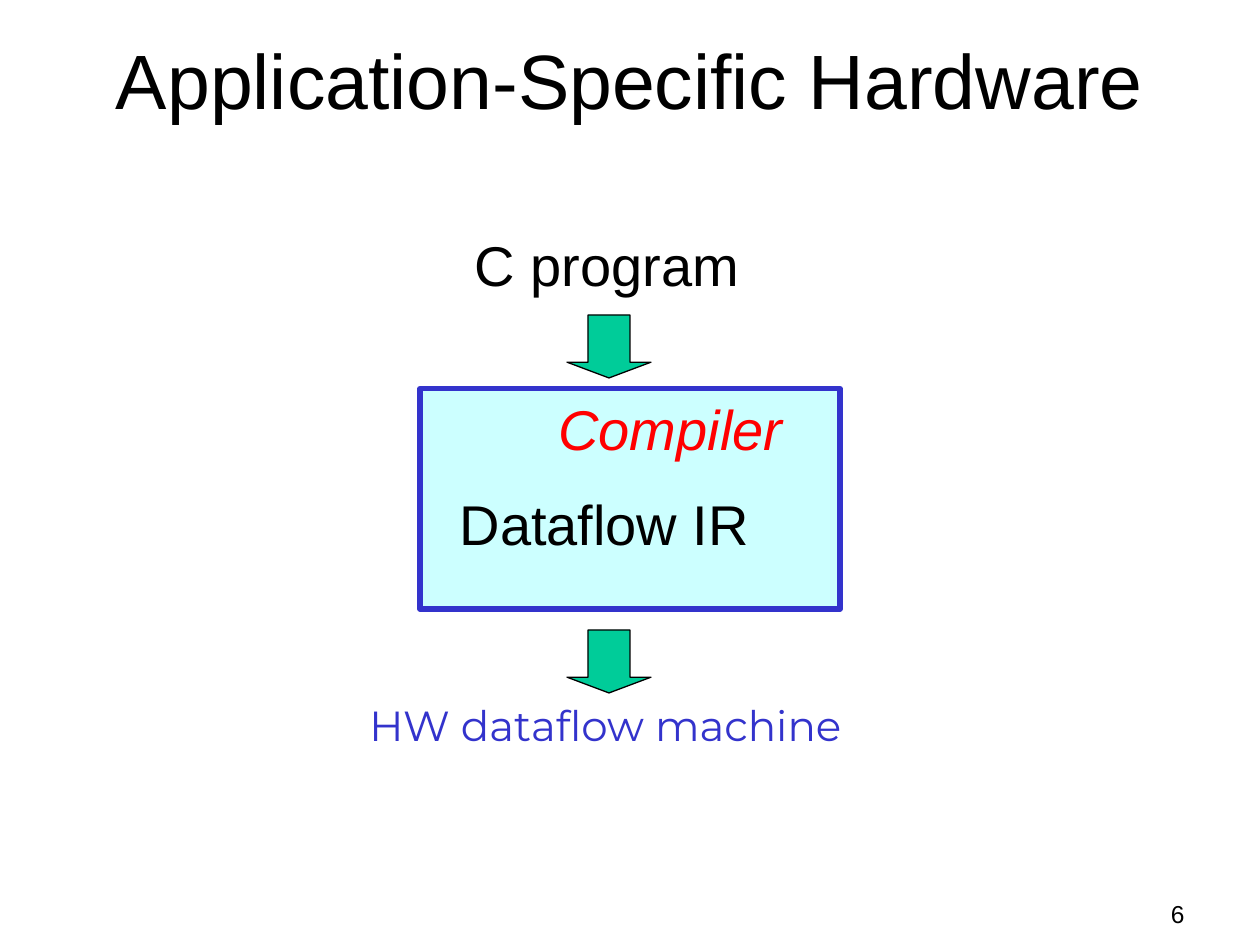
from pptx import Presentation
from pptx.dml.color import RGBColor
from pptx.enum.shapes import MSO_SHAPE
from pptx.enum.text import MSO_ANCHOR, MSO_AUTO_SIZE, PP_ALIGN
from pptx.util import Pt

BLACK = RGBColor(0x00, 0x00, 0x00)
RED = RGBColor(0xFF, 0x00, 0x00)
BLUE = RGBColor(0x33, 0x33, 0xCC)
CYAN = RGBColor(0xCC, 0xFF, 0xFF)
GREEN = RGBColor(0x00, 0xCC, 0x99)


def put_text(shape, text, size=32, color=BLACK, font="Arial", italic=False,
             align=PP_ALIGN.LEFT, anchor=MSO_ANCHOR.TOP, wrap=False):
    """Write one formatted line of text into a shape."""
    frame = shape.text_frame
    frame.auto_size = MSO_AUTO_SIZE.NONE
    frame.word_wrap = wrap
    frame.vertical_anchor = anchor
    para = frame.paragraphs[0]
    para.alignment = align
    run = para.add_run()
    run.text = text
    run.font.size = Pt(size)
    run.font.name = font
    run.font.italic = italic
    run.font.color.rgb = color


def add_title(slide, text):
    title = slide.shapes.title
    title.left, title.top = Pt(54), Pt(18)
    title.width, title.height = Pt(612), Pt(54)
    put_text(title, text, size=44, align=PP_ALIGN.CENTER,
             anchor=MSO_ANCHOR.MIDDLE, wrap=True)


def add_label(slide, box, text, **style):
    label = slide.shapes.add_textbox(*map(Pt, box))
    put_text(label, text, **style)


def add_block(slide, kind, box, fill, line, width):
    block = slide.shapes.add_shape(kind, *map(Pt, box))
    block.shadow.inherit = False
    block.fill.solid()
    block.fill.fore_color.rgb = fill
    block.line.color.rgb = line
    block.line.width = Pt(width)
    return block


def add_arrow(slide, top):
    arrow = add_block(slide, MSO_SHAPE.DOWN_ARROW, (324, top, 48, 36),
                      GREEN, BLACK, 0.75)
    arrow.adjustments[0] = 0.5
    arrow.adjustments[1] = 0.25


def main():
    deck = Presentation()
    deck.slide_width, deck.slide_height = Pt(720), Pt(540)
    slide = deck.slides.add_slide(deck.slide_layouts[5])
    add_title(slide, "Application-Specific Hardware")

    # Compiler stage
    add_block(slide, MSO_SHAPE.RECTANGLE, (240, 222, 240, 126),
              CYAN, BLUE, 3)
    add_label(slide, (312, 222, 142.5, 46), "Compiler",
              color=RED, italic=True)
    add_label(slide, (255.5, 276, 180, 46), "Dataflow IR",
              align=PP_ALIGN.CENTER)

    # Input and output of the compiler
    add_label(slide, (264, 128, 165.5, 46), "C program")
    add_label(slide, (204, 396, 288, 48), "HW dataflow machine",
              size=24, color=BLUE, font="Montserrat")
    for top in (180, 360):
        add_arrow(slide, top)

    # Page number
    add_label(slide, (648, 510, 36, 30), "6", size=14,
              align=PP_ALIGN.RIGHT, wrap=True)

    deck.save("out.pptx")


if __name__ == "__main__":
    main()
